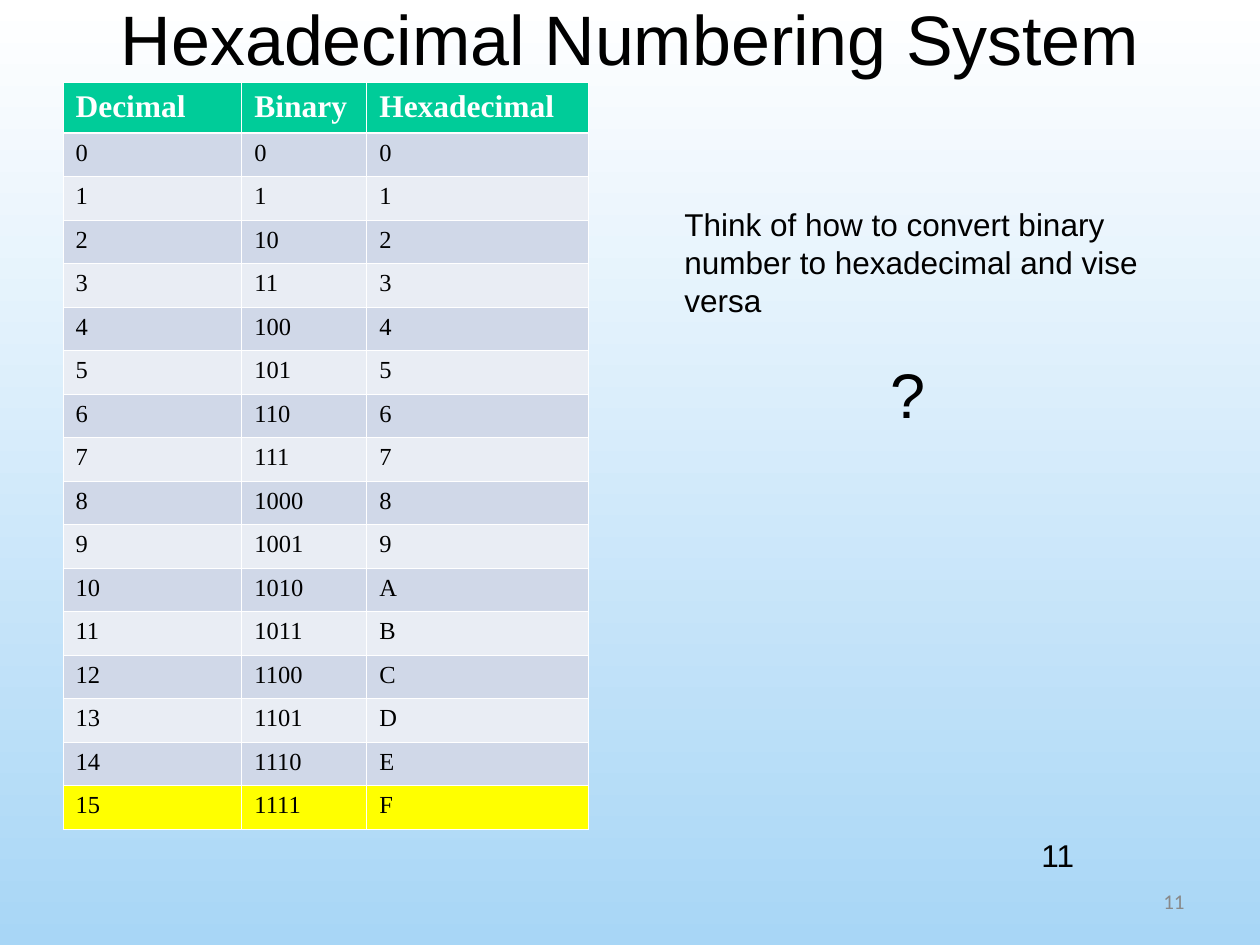
"""Build a slide comparing decimal, binary and hexadecimal numbers."""
from lxml.etree import SubElement
from pptx import Presentation
from pptx.dml.color import RGBColor
from pptx.enum.text import MSO_ANCHOR, PP_ALIGN
from pptx.oxml.ns import qn
from pptx.util import Pt

COLORS = {
    "sky_top": "FFFFFF",
    "sky_bottom": "A8D6F6",
    "ink": "000000",
    "muted": "898989",
    "header": "00CC99",
    "header_text": "FFFFFF",
    "border": "FFFFFF",
    "band_dark": "D0D8E8",
    "band_light": "E9EDF4",
    "highlight": "FFFF00",
}
HEADINGS = ("Decimal", "Binary", "Hexadecimal")
COLUMN_WIDTHS = (102.2, 71.4, 126.4)
HEADER_HEIGHT, ROW_HEIGHT = 28.8, 24.88
LAST_NUMBER = 15


def rgb(name):
    return RGBColor.from_string(COLORS[name])


def style(paragraph, size, face="Arial", color="ink", bold=False):
    font = paragraph.font
    font.size, font.name, font.bold = Pt(size), face, bold
    font.color.rgb = rgb(color)


def paint_background(slide):
    fill = slide.background.fill
    fill.gradient()
    fill.gradient_angle = 270
    for stop, name in zip(fill.gradient_stops, ("sky_top", "sky_bottom")):
        stop.color.rgb = rgb(name)


def add_title(slide, wording):
    title = slide.shapes.title
    title.left, title.top, title.width, title.height = Pt(36), Pt(-11.5), Pt(648), Pt(65.5)
    title.text_frame.text = wording
    title.text_frame.vertical_anchor = MSO_ANCHOR.MIDDLE
    heading = title.text_frame.paragraphs[0]
    heading.alignment = PP_ALIGN.CENTER
    style(heading, 40)


def add_text(slide, wording, left, top, width, height):
    frame = slide.shapes.add_textbox(Pt(left), Pt(top), Pt(width), Pt(height)).text_frame
    frame.word_wrap = True
    frame.text = wording
    return frame


def add_exercise(slide):
    exercise = add_text(
        slide,
        "Think of how to convert binary number to hexadecimal and vise versa",
        384, 113.8, 288, 136.8,
    )
    style(exercise.paragraphs[0], 18)
    question = exercise.add_paragraph()
    question.text = "?"
    question.space_before = Pt(21)
    properties = question._p.get_or_add_pPr()
    properties.set("marL", str(Pt(118)))
    properties.set("indent", "0")
    style(question, 36)


def add_page_number(slide, number):
    footer = add_text(slide, number, 516, 500.4, 168, 28.8)
    footer.vertical_anchor = MSO_ANCHOR.MIDDLE
    footer.paragraphs[0].alignment = PP_ALIGN.RIGHT
    style(footer.paragraphs[0], 12, "Calibri", "muted")


def set_borders(cell, top, bottom):
    properties = cell._tc.get_or_add_tcPr()
    for side, weight in (("L", 0.45), ("R", 0.45), ("T", top), ("B", bottom)):
        line = SubElement(properties, qn(f"a:ln{side}"), w=str(Pt(weight)))
        paint = SubElement(line, qn("a:solidFill"))
        SubElement(paint, qn("a:srgbClr"), val=COLORS["border"])


def row_fill(row):
    if row == 0:
        return "header"
    if row == LAST_NUMBER + 1:
        return "highlight"
    return "band_dark" if row % 2 else "band_light"


def fill_cell(cell, wording, row):
    set_borders(cell, 1.47 if row == 1 else 0.45, 1.47 if row == 0 else 0.45)
    cell.fill.solid()
    cell.fill.fore_color.rgb = rgb(row_fill(row))
    cell.text = wording
    size, color = (18, "header_text") if row == 0 else (14, "ink")
    style(cell.text_frame.paragraphs[0], size, "Times New Roman", color, row == 0)


def add_number_table(slide):
    entries = [HEADINGS] + [(f"{n}", f"{n:b}", f"{n:X}") for n in range(LAST_NUMBER + 1)]
    heights = [HEADER_HEIGHT] + [ROW_HEIGHT] * (LAST_NUMBER + 1)
    table = slide.shapes.add_table(
        len(entries), len(HEADINGS), Pt(36), Pt(47.3), Pt(sum(COLUMN_WIDTHS)), Pt(sum(heights))
    ).table
    for column, width in zip(table.columns, COLUMN_WIDTHS):
        column.width = Pt(width)
    for row, (entry, height) in enumerate(zip(entries, heights)):
        table.rows[row].height = Pt(height)
        for column, wording in enumerate(entry):
            fill_cell(table.cell(row, column), wording, row)


def main():
    deck = Presentation()
    deck.slide_width, deck.slide_height = Pt(720), Pt(540)
    slide = deck.slides.add_slide(deck.slide_layouts[5])
    paint_background(slide)
    add_title(slide, "Hexadecimal Numbering System")
    add_exercise(slide)
    add_page_number(slide, "11")
    add_number_table(slide)
    style(add_text(slide, "11", 588, 474, 168, 36.7).paragraphs[0], 18)
    deck.save("out.pptx")


if __name__ == "__main__":
    main()
